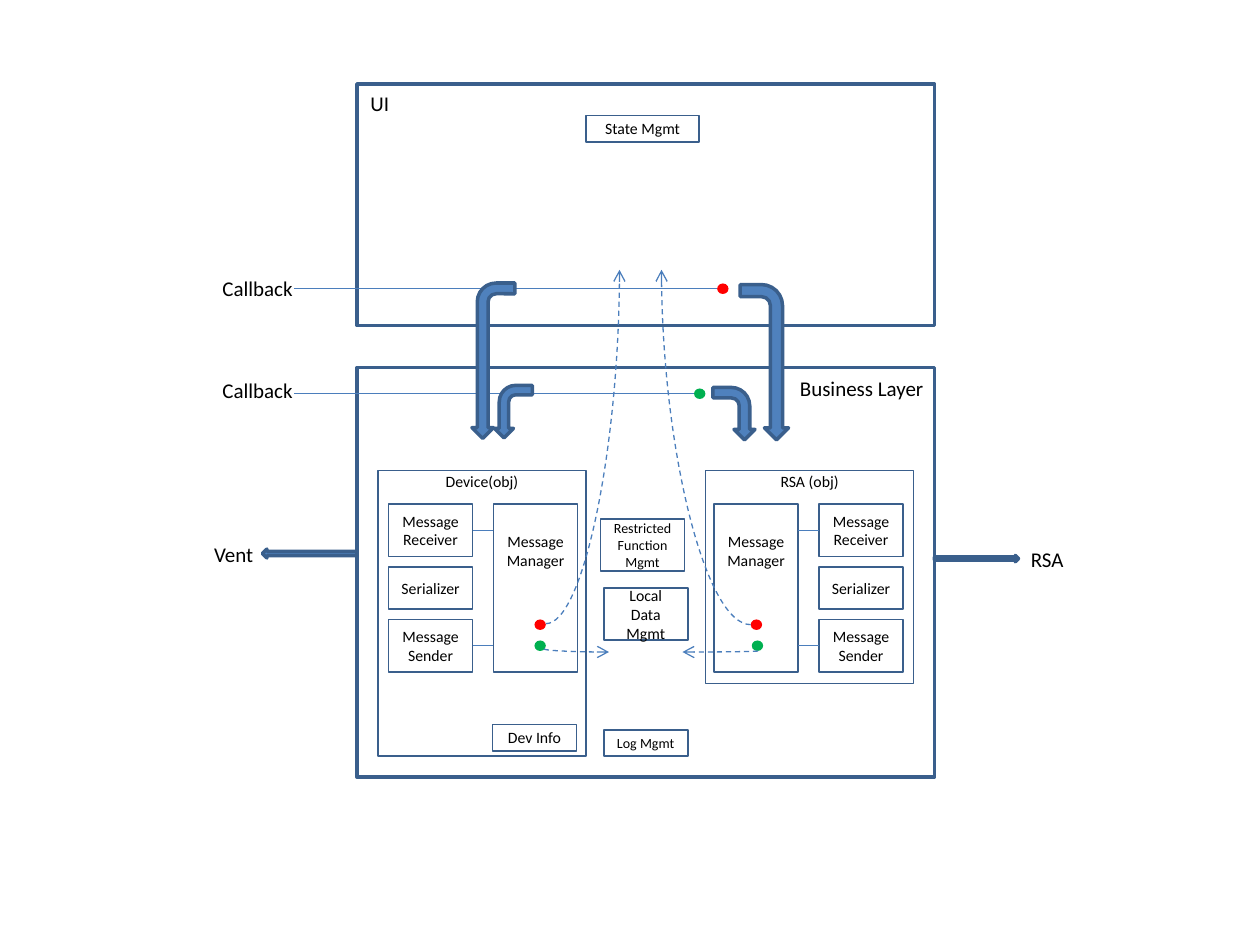
from dataclasses import dataclass

from lxml import etree
from pptx import Presentation
from pptx.dml.color import RGBColor
from pptx.enum.dml import MSO_LINE
from pptx.enum.shapes import MSO_CONNECTOR, MSO_SHAPE
from pptx.enum.text import MSO_ANCHOR, MSO_AUTO_SIZE, PP_ALIGN
from pptx.oxml.ns import qn
from pptx.util import Inches, Pt

RECTANGLE, OVAL = MSO_SHAPE.RECTANGLE, MSO_SHAPE.OVAL
BENT_ARROW, RIGHT_ARROW = MSO_SHAPE.BENT_ARROW, MSO_SHAPE.RIGHT_ARROW
STRAIGHT, CURVE = MSO_CONNECTOR.STRAIGHT, MSO_CONNECTOR.CURVE
TOP, MIDDLE = MSO_ANCHOR.TOP, MSO_ANCHOR.MIDDLE
LEFT, CENTER = PP_ALIGN.LEFT, PP_ALIGN.CENTER
DASH, GROW = MSO_LINE.DASH, MSO_AUTO_SIZE.SHAPE_TO_FIT_TEXT

COLUMNS, ROWS = 120, 90


@dataclass(frozen=True)
class Theme:
    font: str = "Calibri"
    ink: str = "000000"
    outline: str = "3A5F8C"
    link: str = "4B7EBC"
    arrow: str = "4F81BD"
    red: str = "FF0000"
    green: str = "00B050"
    label: int = 12
    body: int = 9
    small: int = 8
    thick: float = 2
    medium: float = 1
    thin: float = 0.75


THEME = Theme()


def cells(*counts):
    """Turn grid cells, twelve to the inch, into lengths."""
    return [Inches(count / 12) for count in counts]


def apply(target, values):
    for name, value in values.items():
        setattr(target, name, value)


def write(shape, text, size, align, frame_format):
    frame = shape.text_frame
    apply(frame, frame_format)
    para = frame.paragraphs[0]
    para.text = text
    para.alignment = align
    apply(para.font, {"name": THEME.font, "size": Pt(size)})
    para.font.color.rgb = RGBColor.from_string(THEME.ink)


def add_shape(page, kind, place, fill=None, weight=None):
    shape = page.shapes.add_shape(kind, *cells(*place))
    shape.shadow.inherit = False
    if fill:
        shape.fill.solid()
        shape.fill.fore_color.rgb = RGBColor.from_string(fill)
    else:
        shape.fill.background()
    if weight:
        shape.line.color.rgb = RGBColor.from_string(THEME.outline)
        shape.line.width = Pt(weight)
    else:
        shape.line.fill.background()
    return shape


def add_box(page, text, place, size=THEME.body, anchor=MIDDLE, top=0.05):
    box = add_shape(page, RECTANGLE, place, weight=THEME.medium)
    write(box, text, size, CENTER,
          {"word_wrap": True, "vertical_anchor": anchor, "margin_top": Inches(top)})


def add_label(page, text, column, row, width):
    label = page.shapes.add_textbox(*cells(column, row, width, 3.6))
    write(label, text, THEME.label, LEFT, {"word_wrap": False, "auto_size": GROW})


def add_dot(page, column, row, color):
    add_shape(page, OVAL, (column, row, 1.08, 1), fill=color)


def add_arrow(page, kind, place, rotation=0, flip=None):
    arrow = add_shape(page, kind, place, THEME.arrow, THEME.thick)
    arrow.rotation = rotation
    if flip:
        arrow._element.spPr.find(qn("a:xfrm")).set(flip, "1")


def add_link(page, begin, end, kind=STRAIGHT):
    link = page.shapes.add_connector(kind, *cells(*begin, *end))
    link.line.color.rgb = RGBColor.from_string(THEME.link)
    link.line.width = Pt(THEME.thin)
    etree.SubElement(link._element.spPr, qn("a:effectLst"))
    return link


def add_curve(page, begin, end, starts_down=False):
    """Draw a dashed quarter curve that leaves sideways, or downwards."""
    rotation = 0
    if starts_down:
        across, down = end[0] - begin[0], end[1] - begin[1]
        middle = (begin[0] + end[0]) / 2, (begin[1] + end[1]) / 2
        rotation = 90 if across < 0 else 270
        half_width = down / 2 if across < 0 else -down / 2
        half_height = abs(across) / 2
        begin = middle[0] - half_width, middle[1] - half_height
        end = middle[0] + half_width, middle[1] + half_height
    curve = add_link(page, begin, end, CURVE)
    curve.line.dash_style = DASH
    properties = curve._element.spPr
    properties.find(qn("a:prstGeom")).set("prst", "curvedConnector2")
    if rotation:
        properties.find(qn("a:xfrm")).set("rot", str(rotation * 60000))
    etree.SubElement(properties.find(qn("a:ln")), qn("a:tailEnd"), type="arrow")


def add_unit(page, title, place, part_column, manager_column, link_column):
    """Draw one object with its message parts and manager."""
    add_box(page, title, place, anchor=TOP, top=0.01)
    parts = (("Message Receiver", 48, 5), ("Serializer", 54, 4), ("Message Sender", 59, 5))
    for text, row, height in parts:
        add_box(page, text, (part_column, row, 8, height))
    add_box(page, "Message\vManager", (manager_column, 48, 8, 16), anchor=TOP, top=0.22)
    for row in (50.5, 61.5):
        add_link(page, (link_column, row), (link_column + 2, row))


def main():
    deck = Presentation()
    deck.slide_width, deck.slide_height = cells(COLUMNS, ROWS)
    page = deck.slides.add_slide(deck.slide_layouts[6])

    # Layers
    for row, height in ((8, 23), (35, 39)):
        add_shape(page, RECTANGLE, (34, row, 55, height), weight=THEME.thick)

    # Objects of the business layer
    add_unit(page, "RSA (obj)", (67.2, 44.8, 19.8, 20.3), 78, 68, 76)
    add_unit(page, "Device(obj)", (36, 44.8, 19.8, 27.2), 37, 47, 45)

    # Shared functions
    add_box(page, "Local Data Mgmt", (57.5, 56, 8, 5))
    add_box(page, "Restricted Function Mgmt", (57.2, 49.4, 8, 5), THEME.small)
    add_box(page, "Log Mgmt", (57.5, 69.5, 8, 2.5), THEME.small)
    add_box(page, "Dev Info", (46.9, 69, 8, 2.5))
    add_box(page, "State Mgmt", (55.8, 11, 10.8, 2.5))

    # Callback lines and event dots
    add_link(page, (68.3, 27.5), (28, 27.5))
    add_link(page, (66.7, 37.5), (28, 37.5))
    for column, row, color in (
        (68.3, 27, THEME.red), (66.1, 37, THEME.green),
        (71.5, 59, THEME.red), (71.6, 61, THEME.green),
        (50.9, 59, THEME.red), (50.9, 61, THEME.green),
    ):
        add_dot(page, column, row, color)

    # Dashed event paths
    add_curve(page, (71.5, 59.5), (63, 25.7))
    add_curve(page, (52, 59.4), (59, 25.7))
    add_curve(page, (72.2, 62), (65, 62.1), starts_down=True)
    add_curve(page, (51.8, 61.8), (58, 62.1), starts_down=True)

    # Block arrows
    for place, flip in (
        ((67.4, 37.4, 5, 4), None), ((65.4, 32.2, 14.8, 4.6), None),
        ((46.4, 37.4, 5, 3.6), "flipV"), ((39.6, 32.3, 14.8, 4.1), "flipV"),
    ):
        add_arrow(page, BENT_ARROW, place, 90, flip)
    add_arrow(page, RIGHT_ARROW, (89, 52.9, 8, 0.6))
    add_arrow(page, RIGHT_ARROW, (25, 52.3, 9, 0.84), flip="flipH")

    # Labels
    for text, column, row, width in (
        ("Callback", 20, 25.7, 9.2), ("Callback", 20, 35.4, 9.2),
        ("UI", 34.1, 8, 4.2), ("Business Layer", 75, 35.2, 14.3),
        ("RSA", 97, 51.5, 5.5), ("Vent", 19.2, 51, 6.1),
    ):
        add_label(page, text, column, row, width)

    deck.save("out.pptx")


main()
